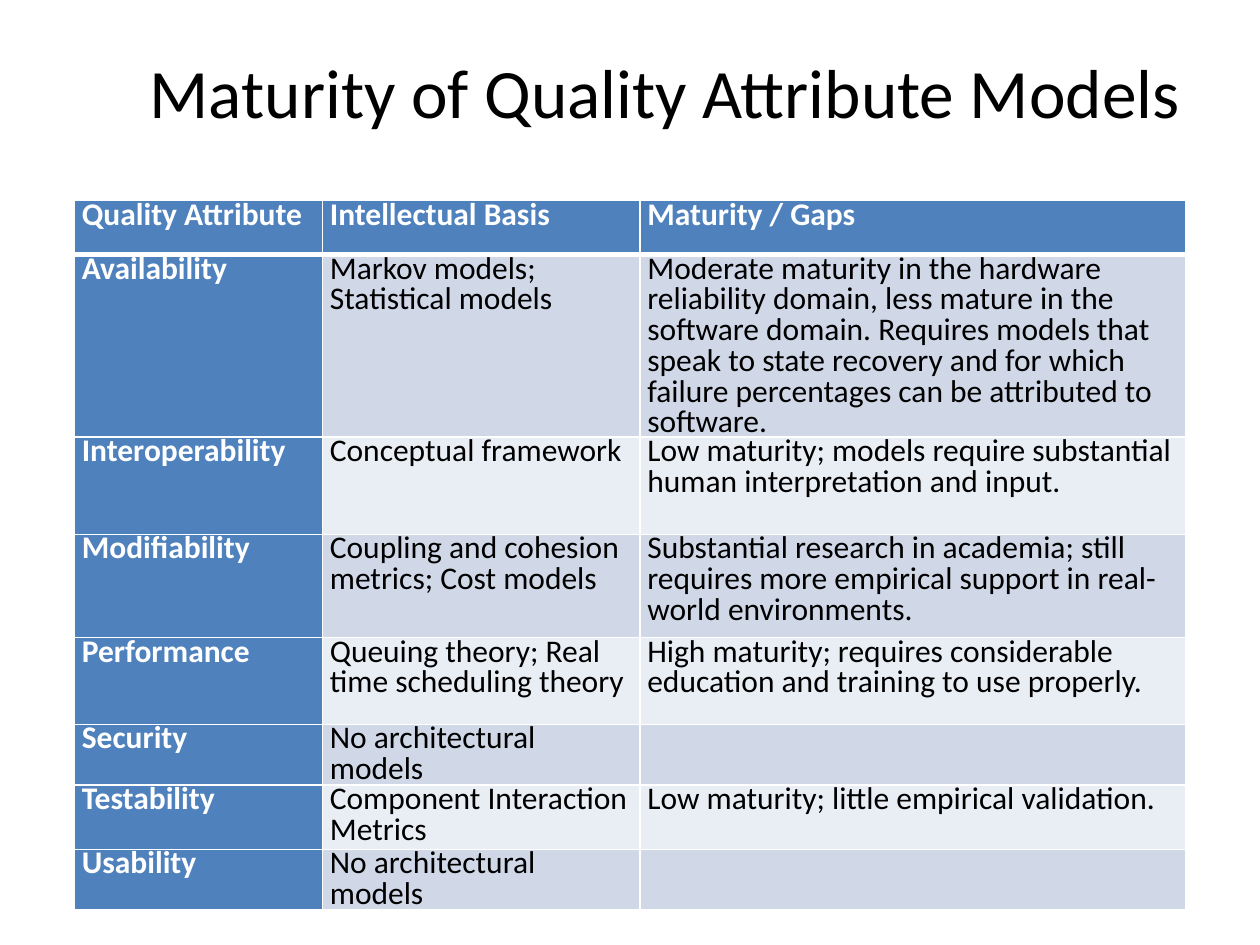
import pptx
import pptx.util
import pptx.dml.color
import pptx.enum.text
import lxml.etree
import pptx.oxml.ns

Cm = pptx.util.Cm
Pt = pptx.util.Pt
COLORS = {
    "title": "000000",
    "body": "000000",
    "header text": "FFFFFF",
    "header": "4F81BD",
    "odd row": "D0D8E8",
    "even row": "E9EDF4",
    "border": "FFFFFF",
}
COLUMN_WIDTHS = [5, 6.4, 11]
ROW_HEIGHTS = [1.09, 3.68, 1.96, 2.08, 1.75, 1.22, 1.3, 1.12]
ROWS = [
    ["Quality Attribute", "Intellectual Basis", "Maturity / Gaps"],
    ["Availability", "Markov models; Statistical models",
     "Moderate maturity in the hardware reliability domain, less mature in the software domain. "
     "Requires models that speak to state recovery and for which failure percentages "
     "can be attributed to software."],
    ["Interoperability", "Conceptual framework",
     "Low maturity; models require substantial human interpretation and input."],
    ["Modifiability", "Coupling and cohesion metrics; Cost models",
     "Substantial research in academia; still requires more empirical support "
     "in real-world environments."],
    ["Performance", "Queuing theory; Real time scheduling theory",
     "High maturity; requires considerable education and training to use properly."],
    ["Security", "No architectural models", ""],
    ["Testability", "Component Interaction Metrics", "Low maturity; little empirical validation."],
    ["Usability", "No architectural models", ""],
]


def add_span(para, text, size, color, bold=False):
    span = para.add_run()
    span.text = text
    span.font.name = "Calibri"
    span.font.size = Pt(size)
    span.font.bold = bold
    span.font.color.rgb = pptx.dml.color.RGBColor.from_string(COLORS[color])


def add_border(cell, side, width):
    properties = cell._tc.get_or_add_tcPr()
    line = lxml.etree.SubElement(properties, pptx.oxml.ns.qn("a:ln" + side), w=str(Pt(width)))
    fill = lxml.etree.SubElement(line, pptx.oxml.ns.qn("a:solidFill"))
    lxml.etree.SubElement(fill, pptx.oxml.ns.qn("a:srgbClr"), val=COLORS["border"])


deck = pptx.Presentation()
deck.slide_width = Cm(25.4)
deck.slide_height = Cm(19.05)
page = deck.slides.add_slide(deck.slide_layouts[6])

box = page.shapes.add_textbox(Cm(2.69), Cm(0.76), Cm(21.44), Cm(2.16))
box.text_frame.word_wrap = True
box.text_frame.vertical_anchor = pptx.enum.text.MSO_ANCHOR.MIDDLE
para = box.text_frame.paragraphs[0]
para.alignment = pptx.enum.text.PP_ALIGN.CENTER
add_span(para, "Maturity of Quality Attribute Models", 39.6, "title")

table = page.shapes.add_table(
    len(ROWS), len(COLUMN_WIDTHS), Cm(1.5), Cm(4.04),
    Cm(sum(COLUMN_WIDTHS)), Cm(sum(ROW_HEIGHTS))).table
table.first_col = True
for column, width in zip(table.columns, COLUMN_WIDTHS):
    column.width = Cm(width)

for row_index, (texts, height) in enumerate(zip(ROWS, ROW_HEIGHTS)):
    table.rows[row_index].height = Cm(height)
    for column_index, text in enumerate(texts):
        cell = table.cell(row_index, column_index)
        cell.margin_left = cell.margin_right = Cm(0.15)
        cell.margin_top = cell.margin_bottom = 0
        add_border(cell, "L", 1)
        add_border(cell, "R", 1)
        add_border(cell, "T", 3 if row_index == 1 else 1)
        add_border(cell, "B", 3 if row_index == 0 else 1)
        heading = row_index == 0 or column_index == 0
        band = "odd row" if row_index % 2 else "even row"
        cell.fill.solid()
        cell.fill.fore_color.rgb = pptx.dml.color.RGBColor.from_string(
            COLORS["header" if heading else band])
        if text:
            para = cell.text_frame.paragraphs[0]
            para.line_spacing = 0.8
            para.space_after = Pt(4)
            add_span(para, text, 18, "header text" if heading else "body", heading)

deck.save("out.pptx")
